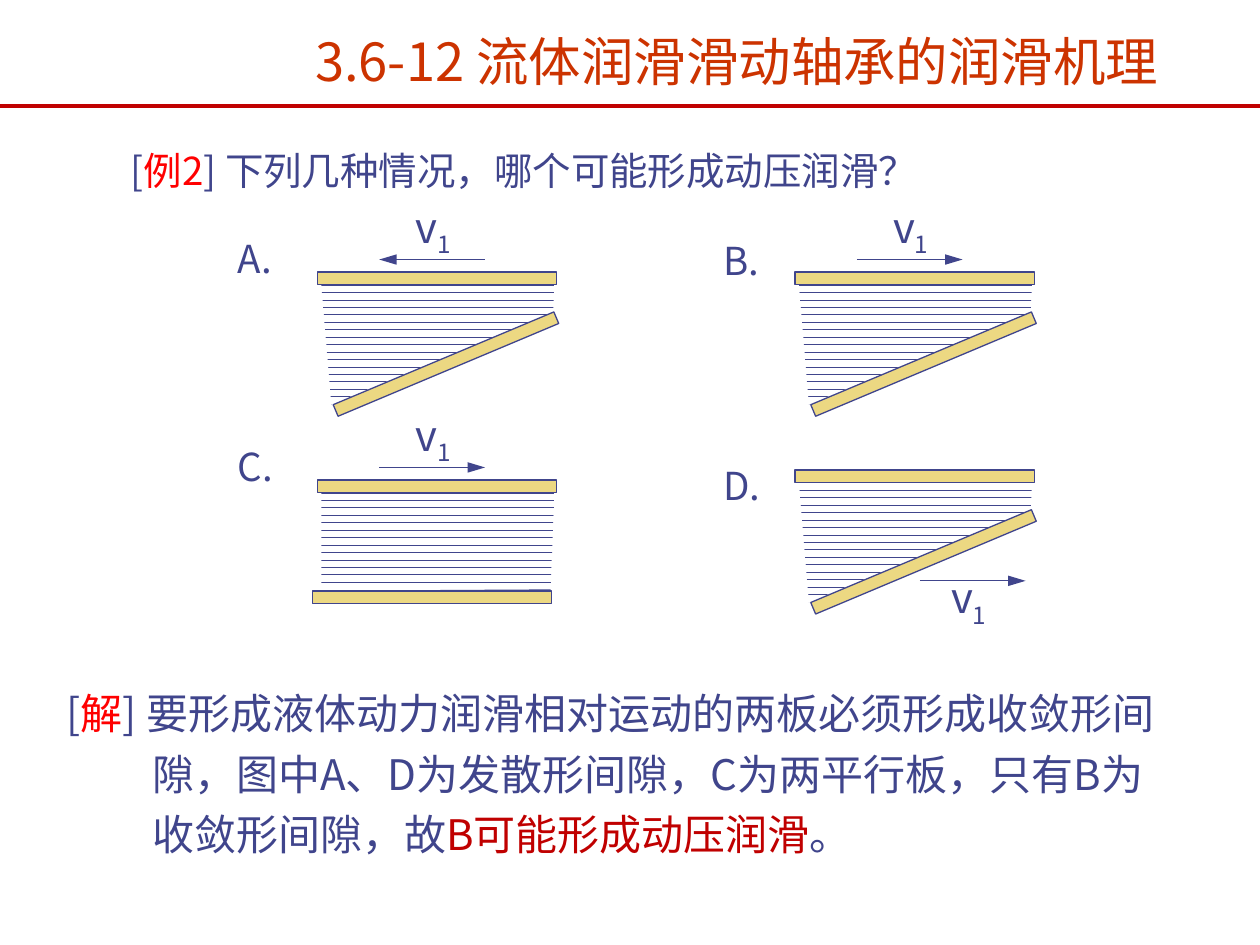
from pptx import Presentation, util as u
from pptx.dml.color import RGBColor
from pptx.enum import dml, shapes, text
from pptx.oxml.ns import qn
from lxml import etree

FONT = "Noto Sans CJK SC"
INK, RED, DARK_RED, GOLD = "40458C", "FF0000", "C00000", "ECD882"


def color(value):
    return RGBColor.from_string(value)


def write(box, size, spans, **frame_format):
    frame = box.text_frame
    for name, value in frame_format.items():
        setattr(frame, name, value)
    para = frame.paragraphs[0]
    para.alignment = text.PP_ALIGN.LEFT
    for words, ink in spans:
        span = para.add_run()
        span.text = words
        span.font.size = u.Pt(size)
        span.font.name = FONT
        span.font.color.rgb = color(ink)
        east_asian = etree.SubElement(span.font._element, qn("a:ea"))
        east_asian.set("typeface", FONT)
    return para


deck = Presentation()
deck.slide_width, deck.slide_height = u.Inches(10), u.Inches(7.5)
slide = deck.slides.add_slide(deck.slide_layouts[5])
GROW = text.MSO_AUTO_SIZE.SHAPE_TO_FIT_TEXT

title = slide.shapes.title
title_place = {"left": 2.4, "top": 0.21, "width": 7.42, "height": 0.54}
for name, value in title_place.items():
    setattr(title, name, u.Inches(value))
write(title, 30, [("3.6-12 流体润滑滑动轴承的润滑机理", "CC3300")],
      word_wrap=True, auto_size=text.MSO_AUTO_SIZE.NONE,
      vertical_anchor=text.MSO_ANCHOR.MIDDLE)

question = slide.shapes.add_textbox(*map(u.Inches, (0.94, 1.12, 9.3, 0.47)))
write(question, 22,
      [("[", INK), ("例2", RED), ("] 下列几种情况，哪个可能形成动压润滑？", INK)],
      word_wrap=True, auto_size=GROW)

wedge = [(0.03, 0.1), (1.88, 0.1), (1.87, 0.32), (0.11, 1.05)]
parallel = [(0.03, 0.1), (1.88, 0.1), (1.85, 0.87), (0.03, 0.86)]
tilted_plate, flat_plate = (0.07, 0.68, 337.2), (-0.04, 0.88, 0)
above, below = (0.49, -0.1, 0.68, -0.61), (0.99, 0.88, 1.14, 0.76)
cases = [
    ("A.", 2.52, 2.16, 1.79, 1.82, wedge, tilted_plate, above, "headEnd"),
    ("B.", 6.31, 2.16, 5.64, 1.83, wedge, tilted_plate, above, "tailEnd"),
    ("C.", 2.52, 3.81, 1.79, 3.47, parallel, flat_plate, above, "tailEnd"),
    ("D.", 6.31, 3.73, 5.64, 3.62, wedge, tilted_plate, below, "tailEnd"),
]
lines = [(0, 0.84, 10, DARK_RED, 2.25, None)]

for label, left, top, label_x, label_y, gap, lower, motion, arrow_end in cases:
    points = [(u.Inches(left + x), u.Inches(top + y)) for x, y in gap]
    builder = slide.shapes.build_freeform(*points[0])
    builder.add_line_segments(points[1:], close=True)
    film = builder.convert_to_shape()
    film.shadow.inherit = False
    film.line.fill.background()
    film.fill.patterned()
    film.fill.pattern = dml.MSO_PATTERN.DASHED_HORIZONTAL
    film.fill.fore_color.rgb = color(INK)
    film.fill.back_color.rgb = color("FFFFFF")

    for x, y, angle in [(0, 0, 0), lower]:
        plate = slide.shapes.add_shape(
            shapes.MSO_SHAPE.RECTANGLE, u.Inches(left + x), u.Inches(top + y),
            u.Inches(1.9), u.Inches(0.1))
        plate.rotation = angle
        plate.shadow.inherit = False
        plate.fill.solid()
        plate.fill.fore_color.rgb = color(GOLD)
        plate.line.color.rgb = color(INK)
        plate.line.width = u.Pt(0.75)

    arrow_x, arrow_y, speed_x, speed_y = motion
    lines.append((left + arrow_x, top + arrow_y, 0.84, INK, 0.75, arrow_end))

    speed = slide.shapes.add_textbox(
        u.Inches(left + speed_x), u.Inches(top + speed_y), u.Inches(0.9), u.Inches(0.5))
    para = write(speed, 24, [("v", INK), ("1", INK)], word_wrap=True, auto_size=GROW)
    para.runs[1].font._element.set("baseline", "-25000")

    letter = slide.shapes.add_textbox(
        u.Inches(label_x), u.Inches(label_y), u.Inches(0.59), u.Inches(0.57))
    write(letter, 22, [(label, INK)], word_wrap=False, auto_size=GROW)

for x, y, length, ink, width, arrow_end in lines:
    line = slide.shapes.add_connector(
        shapes.MSO_CONNECTOR.STRAIGHT, u.Inches(x), u.Inches(y),
        u.Inches(x + length), u.Inches(y))
    line.line.color.rgb = color(ink)
    line.line.width = u.Pt(width)
    if arrow_end:
        head = etree.SubElement(line.line._get_or_add_ln(), qn("a:" + arrow_end))
        for name, value in {"type": "triangle", "w": "med", "len": "lg"}.items():
            head.set(name, value)
    etree.SubElement(line._element.spPr, qn("a:effectLst"))

answer = slide.shapes.add_textbox(*map(u.Inches, (0.43, 5.33, 9.07, 1.55)))
para = write(answer, 24, [
    ("[", INK), ("解", RED),
    ("] 要形成液体动力润滑相对运动的两板必须形成收敛形间隙，"
     "图中A、D为发散形间隙，C为两平行板，只有B为收敛形间隙，故", INK),
    ("B可能形成动压润滑", DARK_RED), ("。", INK)],
    word_wrap=True, auto_size=GROW)
para.line_spacing = 1.2
indent = u.Inches(0.68)
for name, value in {"marL": indent, "indent": -indent}.items():
    para._p.get_or_add_pPr().set(name, str(int(value)))

deck.save("out.pptx")
